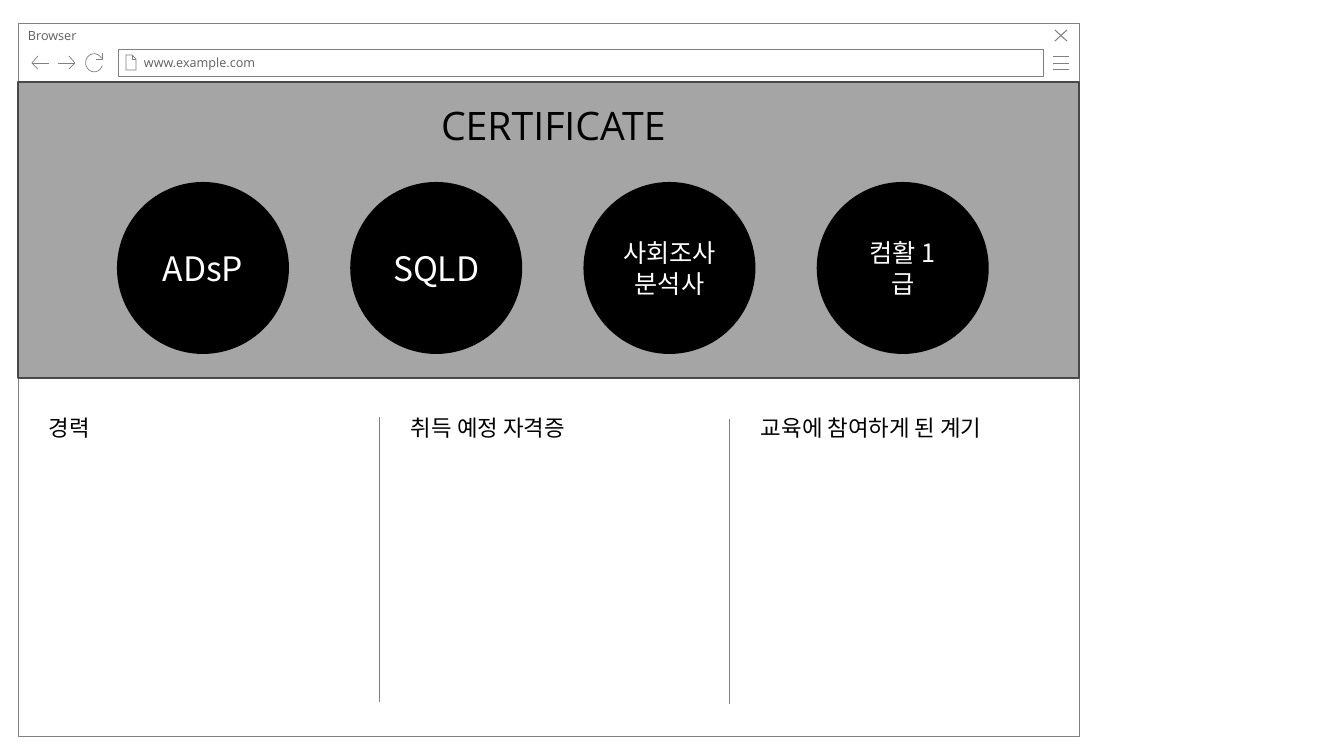
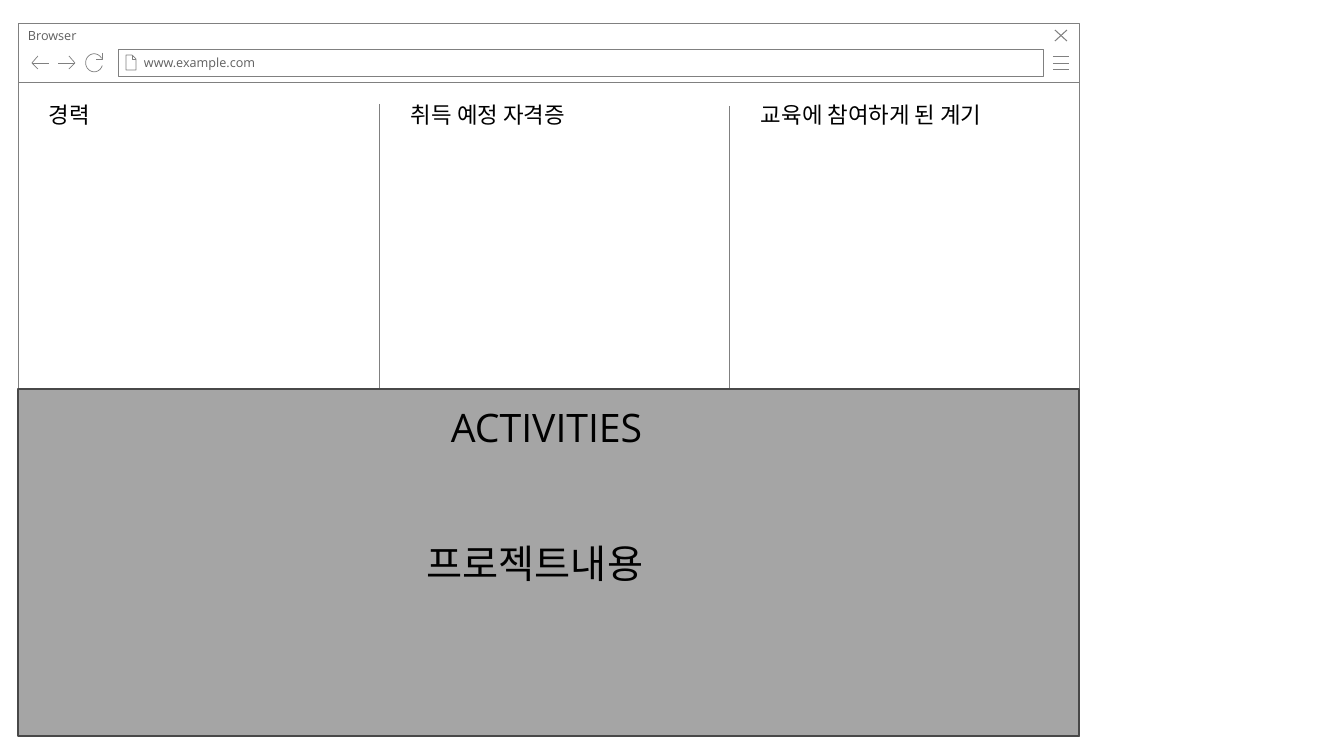
"""Two portfolio wireframe slides inside a browser window."""
import math
from lxml import etree
from pptx import Presentation
from pptx.dml.color import RGBColor
from pptx.enum import shapes, text
from pptx.oxml.ns import qn
from pptx.util import Emu, Pt

PX = 914400 / 100.8
WHITE = RGBColor(0xFF, 0xFF, 0xFF)
BLACK = RGBColor(0, 0, 0)
GRAY = RGBColor(0xA5, 0xA5, 0xA5)
OUTLINE = RGBColor(0x80, 0x80, 0x80)
DARK = RGBColor(0x48, 0x48, 0x48)
LABEL = RGBColor(0x5F, 0x5F, 0x5F)
LATIN, KOREAN = "Open Sans", "Noto Sans CJK KR"

LEFT, WIDTH, BOTTOM = 18, 1061, 736
CERTIFICATES = [("ADsP", 24, 10), ("SQLD", 24, 10), ("사회조사 분석사", 18, 10), ("컴활 1급", 18, 20)]
CIRCLE_LEFT, CIRCLE_TOP, CIRCLE_SIZE, CIRCLE_STEP = 117, 182, 172, 233.25
COLUMNS = [("경력", 39, 65), ("취득 예정 자격증", 401, 195), ("교육에 참여하게 된 계기", 751, 270)]
DIVIDERS = [(379, 8), (729, 10)]
DIVIDER_LENGTH = 285

RELOAD_ARC = [(94.2 + 8.5 * math.cos(math.radians(a)), 62.8 + 9 * math.sin(math.radians(a)))
              for a in range(18, 331, 6)]
ICONS = [
    (0.5, [[(1053, y), (1069, y)] for y in (69, 63, 56)]),
    (0.75, [[(1067, 30), (1055, 41)], [(1055, 30), (1067, 41)]]),
    (0.5, [[(132, 55), (132, 59), (136, 59)],
           [(126, 55), (126, 70), (136, 70), (136, 59), (132, 55), (126, 55)]]),
    (0.5, [[(38, 69), (32, 63), (38, 56)], [(32, 63), (49, 63)]]),
    (0.5, [[(69, 56), (75, 63), (69, 69)], [(75, 63), (58, 63)]]),
    (0.5, [[(102, 53), (102, 59), (96, 59)], RELOAD_ARC]),
]


def px(*lengths):
    return [Emu(round(n * PX)) for n in lengths]


def write(shape, words, size, font, color, align=text.PP_ALIGN.LEFT,
          anchor=text.MSO_ANCHOR.TOP, insets=(10, 5, 10, 5), wrap=True):
    frame = shape.text_frame
    frame.word_wrap = wrap
    frame.vertical_anchor = anchor
    frame.margin_left, frame.margin_top, frame.margin_right, frame.margin_bottom = px(*insets)
    paragraph = frame.paragraphs[0]
    paragraph.alignment = align
    run = paragraph.add_run()
    run.text = words
    run.font.size = Pt(size)
    run.font.name = font
    run.font.color.rgb = color
    etree.SubElement(run._r.get_or_add_rPr(), qn("a:ea")).set("typeface", font)


def add_panel(slide, box, fill, line=None, weight=0.5, kind=shapes.MSO_SHAPE.RECTANGLE):
    panel = slide.shapes.add_shape(kind, *px(*box))
    panel.shadow.inherit = False
    panel.fill.solid()
    panel.fill.fore_color.rgb = fill
    if line is None:
        panel.line.fill.background()
    else:
        panel.line.color.rgb = line
        panel.line.width = Pt(weight)
    return panel


def add_icon(slide, weight, strokes):
    builder = None
    for start, *rest in strokes:
        if builder is None:
            builder = slide.shapes.build_freeform(*px(*start), scale=1.0)
        else:
            builder.move_to(*px(*start))
        builder.add_line_segments([px(*point) for point in rest], close=False)
    icon = builder.convert_to_shape()
    icon.shadow.inherit = False
    icon.fill.background()
    icon.line.color.rgb = OUTLINE
    icon.line.width = Pt(weight)


def add_browser(slide):
    add_panel(slide, (LEFT, 82, WIDTH, BOTTOM - 82), WHITE, OUTLINE)
    title_bar = add_panel(slide, (LEFT, 23, WIDTH, 59), WHITE, OUTLINE)
    write(title_bar, "Browser", 9, LATIN, LABEL, insets=(10, 5, 25, 5))
    address = add_panel(slide, (118, 49, 925, 27), WHITE, OUTLINE)
    write(address, "www.example.com", 9, LATIN, LABEL,
          anchor=text.MSO_ANCHOR.MIDDLE, insets=(26, 5, 10, 5))
    for weight, strokes in ICONS:
        add_icon(slide, weight, strokes)


def add_text(slide, box, words, size, font, wrap=True):
    write(slide.shapes.add_textbox(*px(*box)), words, size, font, BLACK, wrap=wrap)


def add_columns(slide, top):
    for x, drop in DIVIDERS:
        y = top + drop
        divider = slide.shapes.add_connector(
            shapes.MSO_CONNECTOR.STRAIGHT, *px(x, y, x, y + DIVIDER_LENGTH))
        divider.line.color.rgb = OUTLINE
        divider.line.width = Pt(0.5)
        etree.SubElement(divider._element.spPr, qn("a:effectLst"))
    for heading, x, width in COLUMNS:
        add_text(slide, (x, top, width, 37), heading, 16, KOREAN, wrap=False)


def add_band(slide, top, bottom):
    add_panel(slide, (LEFT, top, WIDTH, bottom - top), GRAY, DARK, 1)


def add_certificates(slide):
    add_band(slide, 82, 378)
    for i, (name, size, inset) in enumerate(CERTIFICATES):
        circle = add_panel(slide, (CIRCLE_LEFT + i * CIRCLE_STEP, CIRCLE_TOP, CIRCLE_SIZE, CIRCLE_SIZE),
                           BLACK, kind=shapes.MSO_SHAPE.OVAL)
        write(circle, name, size, KOREAN, WHITE, text.PP_ALIGN.CENTER,
              text.MSO_ANCHOR.MIDDLE, (inset, 5, inset, 5))
    add_text(slide, (431, 96, 276, 57), "CERTIFICATE", 28, LATIN)
    add_columns(slide, 409)


def add_activities(slide):
    add_columns(slide, 96)
    add_band(slide, 389, BOTTOM)
    add_text(slide, (441, 398, 215, 57), "ACTIVITIES", 28, LATIN)
    add_text(slide, (417, 534, 262, 57), "프로젝트내용", 28, KOREAN)


deck = Presentation()
deck.slide_width, deck.slide_height = px(1344, 756)
for add_content in (add_certificates, add_activities):
    page = deck.slides.add_slide(deck.slide_layouts[6])
    add_browser(page)
    add_content(page)
deck.save("out.pptx")
